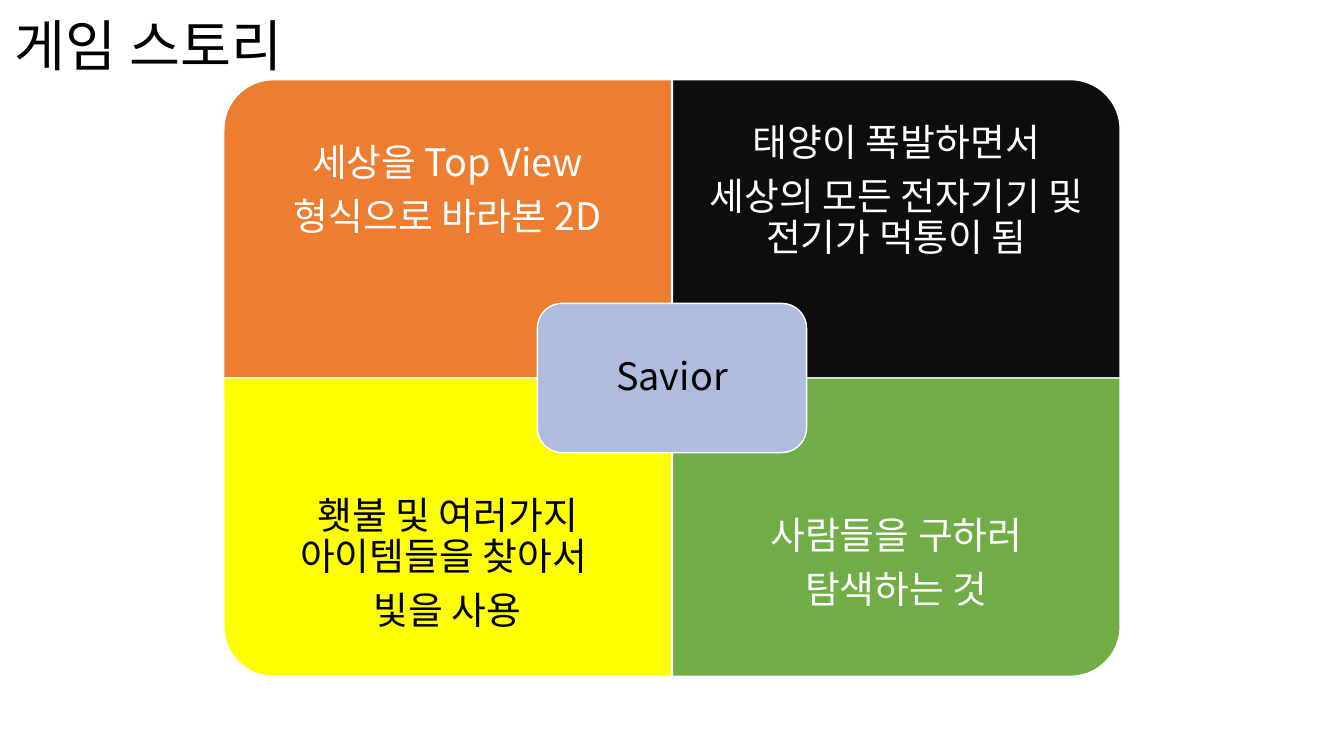
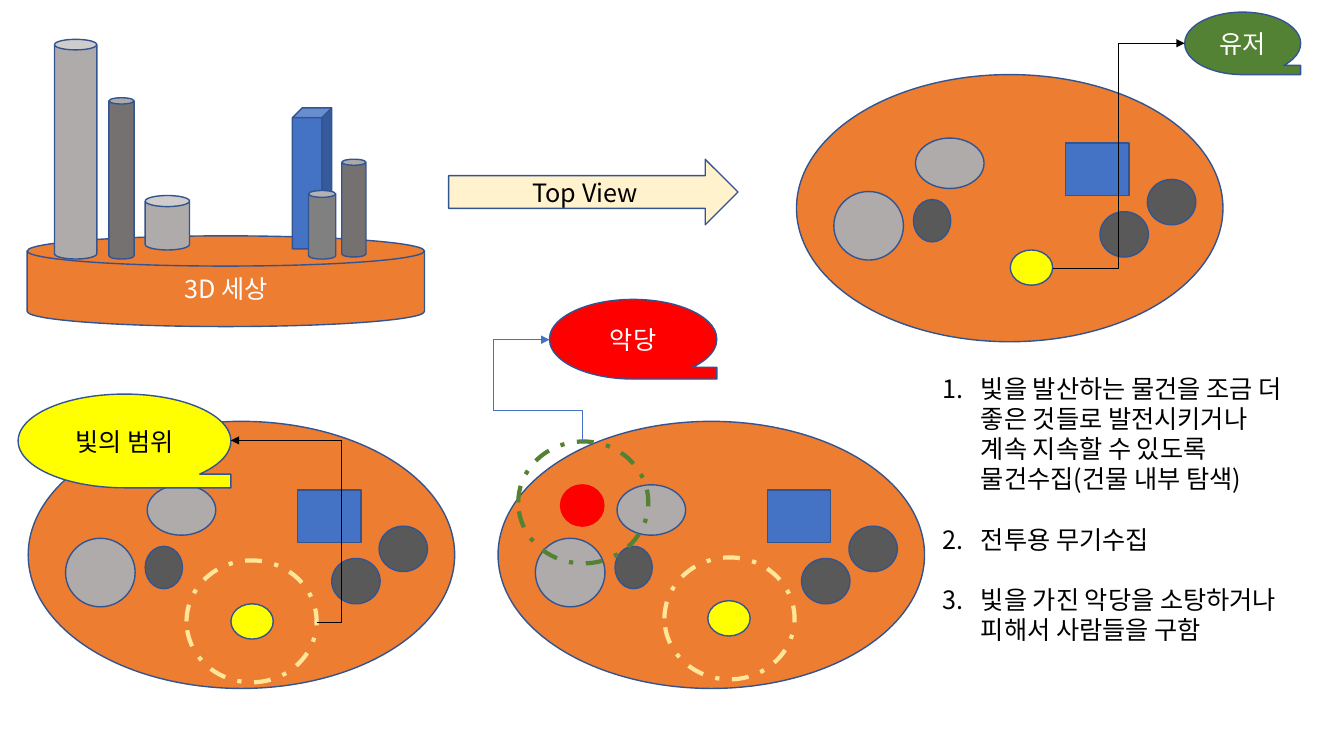
from pptx import Presentation
from pptx.dml.color import RGBColor as RGB
from pptx.enum.dml import MSO_LINE as Dash
from pptx.enum.shapes import MSO_CONNECTOR as Link, MSO_SHAPE as Kind
from pptx.enum.text import MSO_ANCHOR as Anchor, PP_ALIGN as Align
from pptx.oxml.ns import qn
from pptx.util import Emu, Pt
from lxml.etree import SubElement as Sub

PX = 9144
FONT = "Noto Sans CJK KR"
BLACK, WHITE, NAVY, BLUE = "000000", "FFFFFF", "325491", "4472C4"
ORANGE, YELLOW, RED, GREEN = "ED7D31", "FFFF00", "FF0000", "548235"
SILVER, STONE, COAL, GLOW = "AFABAB", "767171", "595959", "FFE699"
TAPE = Kind.FLOWCHART_SEQUENTIAL_ACCESS_STORAGE
LABEL = {"alignment": Align.CENTER}
CARD = {"alignment": Align.CENTER, "line_spacing": 0.9, "space_after": Pt(9.45)}
HEAD = {"alignment": Align.LEFT, "line_spacing": 0.9}
LIST = {"alignment": Align.LEFT, "space_after": Pt(21.6)}


def px(*nums):
    return [Emu(num * PX) for num in nums]


def color(code):
    return RGB.from_string(code)


def apply(item, style):
    for name, value in style.items():
        setattr(item, name, value)


class Deck:
    """Holds the shared style and the slide being drawn."""

    def __init__(self):
        self.file = Presentation()
        self.file.slide_width, self.file.slide_height = px(1333, 750)
        self.shapes = None

    def page(self):
        self.shapes = self.file.slides.add_slide(self.file.slide_layouts[6]).shapes

    def letter(self, shape, lines, ink, size=18, style=LABEL, pad=10, anchor=Anchor.MIDDLE):
        frame = shape.text_frame
        side, edge = px(pad, pad if pad > 10 else 5)
        apply(frame, {"word_wrap": True, "vertical_anchor": anchor,
                      "margin_left": side, "margin_right": side,
                      "margin_top": edge, "margin_bottom": edge})
        for i, line in enumerate(lines):
            para = frame.add_paragraph() if i else frame.paragraphs[0]
            apply(para, style)
            run = para.add_run()
            run.text = line
            apply(run.font, {"size": Pt(size), "name": FONT})
            run.font.color.rgb = color(ink)
            Sub(run._r.get_or_add_rPr(), qn("a:ea"), typeface=FONT)

    def text(self, box, lines, ink=BLACK, **opts):
        shape = self.shapes.add_textbox(*px(*box))
        self.letter(shape, lines, ink, **opts)
        return shape

    def shape(self, kind, box, fill, edge=NAVY, turn=0):
        shape = self.shapes.add_shape(kind, *px(*box))
        shape.shadow.inherit = False
        shape.rotation = turn
        shape.fill.solid()
        shape.fill.fore_color.rgb = color(fill)
        shape.line.color.rgb = color(edge)
        shape.line.width = Pt(1)
        return shape

    def label(self, kind, box, fill, word, ink):
        self.letter(self.shape(kind, box, fill), [word], ink)

    def ring(self, x, y, edge):
        shape = self.shape(Kind.OVAL, (x, y, 129, 121), WHITE, edge)
        shape.fill.background()
        apply(shape.line, {"width": Pt(3), "dash_style": Dash.DASH_DOT})

    def light(self, x, y):
        self.shape(Kind.OVAL, (x, y, 42, 35), YELLOW)

    def world(self, x, y):
        self.shape(Kind.OVAL, (x, y, 423, 265), ORANGE)
        for left, top, wide, high, fill in (
                (37, 116, 69, 68, SILVER), (116, 124, 37, 42, COAL),
                (118, 63, 68, 50, SILVER), (301, 136, 48, 45, COAL),
                (348, 104, 48, 45, COAL)):
            self.shape(Kind.OVAL, (x + left, y + top, wide, high), fill)
        self.shape(Kind.RECTANGLE, (x + 267, y + 68, 63, 52), BLUE)

    def wire(self, start, end, ink=BLACK, bends=(), turn=0):
        wire = self.shapes.add_connector(Link.ELBOW, *px(*start, *end))
        wire.line.color.rgb = color(ink)
        wire.line.width = Pt(0.5)
        props = wire._element.spPr
        Sub(props.find(qn("a:ln")), qn("a:tailEnd"), type="triangle")
        Sub(props, qn("a:effectLst"))
        if turn:
            props.find(qn("a:xfrm")).set("rot", str(turn * 60000))
        shape = props.find(qn("a:prstGeom"))
        shape.set("prst", f"bentConnector{max(3, len(bends) + 2)}")
        for i, bend in enumerate(bends, 1):
            Sub(shape.find(qn("a:avLst")), qn("a:gd"), name=f"adj{i}", fmla=f"val {bend}")

    def steps(self, box, lines):
        shape = self.text(box, lines, style=LIST, anchor=Anchor.TOP)
        for para in shape.text_frame.paragraphs:
            props = para._p.get_or_add_pPr()
            props.set("marL", str(38 * PX))
            props.set("indent", str(-38 * PX))
            Sub(props, qn("a:buAutoNum"), type="arabicPeriod")


def story(deck):
    deck.page()
    cards = (
        (270, ORANGE, WHITE, ("세상을 Top View", "형식으로 바라본 2D")),
        (0, "0D0D0D", WHITE, ("태양이 폭발하면서", "세상의 모든 전자기기 및 전기가 먹통이 됨")),
        (180, YELLOW, BLACK, ("횃불 및 여러가지 아이템들을 찾아서 ", "빛을 사용")),
        (90, "70AD47", WHITE, ("사람들을 구하러", "탐색하는 것")))
    wide, high = 444, 296
    skew = (wide - high) // 2
    for i, (turn, fill, ink, lines) in enumerate(cards):
        row, col = divmod(i, 2)
        x, y = 222 + col * (wide + 1), 79 + row * high
        box = (x + skew, y - skew, high, wide) if turn % 180 else (x, y, wide, high)
        deck.shape(Kind.ROUND_1_RECTANGLE, box, fill, WHITE, turn)
        deck.text((x, y + row * skew, wide, 222), lines, ink, size=27, style=CARD, pad=21)
    hub = deck.shape(Kind.ROUNDED_RECTANGLE, (533, 301, 267, 148), "B0BCDE", WHITE)
    deck.letter(hub, ["Savior"], BLACK, size=27, style=CARD, pad=19)
    deck.text((5, 13, 466, 70), ["게임 스토리"], size=39.6, style=HEAD)


def views(deck):
    deck.page()
    deck.label(Kind.FLOWCHART_MAGNETIC_DISK, (27, 234, 394, 90), ORANGE, "3D 세상", WHITE)
    deck.shape(Kind.CUBE, (290, 107, 39, 140), BLUE)
    for *box, fill in ((54, 39, 42, 218, SILVER), (108, 97, 25, 160, STONE),
                       (306, 189, 27, 68, "808080"), (339, 158, 24, 97, STONE),
                       (144, 194, 44, 54, SILVER)):
        deck.shape(Kind.CAN, box, fill)
    deck.label(Kind.RIGHT_ARROW, (445, 158, 287, 65), "FFF2CC", "Top View", BLACK)

    deck.world(790, 74)
    deck.light(1002, 248)
    deck.label(TAPE, (1175, 12, 115, 62), GREEN, "유저", WHITE)
    deck.wire((1044, 266), (1175, 43))

    deck.world(28, 418)
    deck.light(229, 599)
    deck.ring(185, 556, GLOW)
    deck.label(TAPE, (18, 391, 211, 93), YELLOW, "빛의 범위", BLACK)
    deck.wire((314, 617), (229, 437), bends=(-29300,))

    deck.world(494, 418)
    deck.shape(Kind.OVAL, (556, 481, 43, 41), RED, RED)
    deck.light(702, 596)
    deck.ring(659, 553, GLOW)
    deck.ring(514, 438, GREEN)
    deck.label(TAPE, (545, 297, 166, 79), RED, "악당", WHITE)
    deck.wire((511, 404), (612, 371), BLUE, (30500, 269800), 270)

    deck.steps((925, 365, 366, 283), (
        "빛을 발산하는 물건을 조금 더 좋은 것들로 발전시키거나 계속 지속할 수 있도록 물건수집(건물 내부 탐색)",
        "전투용 무기수집",
        "빛을 가진 악당을 소탕하거나 피해서 사람들을 구함"))


def main():
    deck = Deck()
    story(deck)
    views(deck)
    deck.file.save("out.pptx")


if __name__ == "__main__":
    main()
